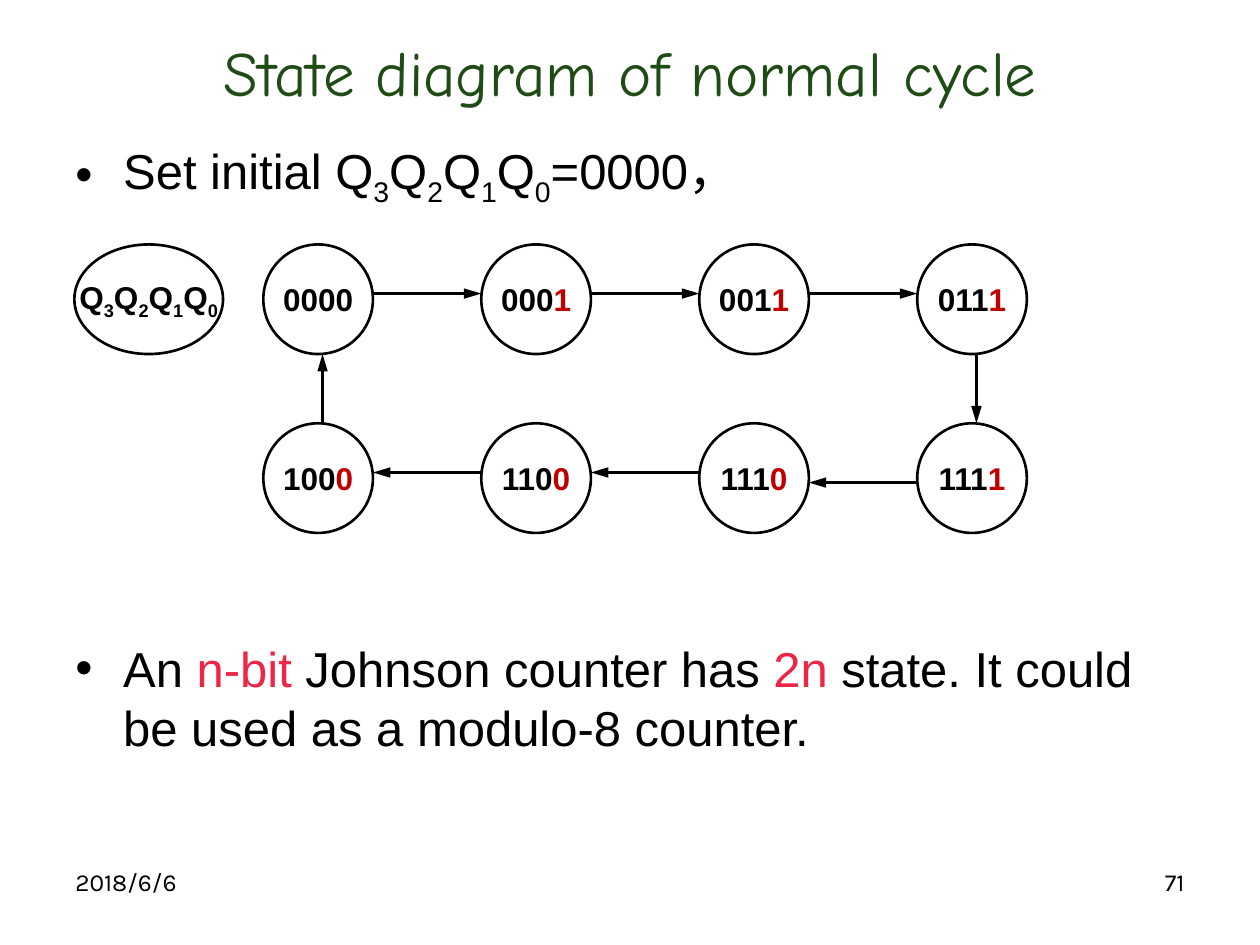
from lxml import etree
from pptx import Presentation
from pptx.dml.color import RGBColor
from pptx.enum.shapes import MSO_CONNECTOR, MSO_SHAPE
from pptx.enum.text import MSO_ANCHOR, PP_ALIGN
from pptx.oxml.ns import qn
from pptx.util import Inches, Pt

STRAIGHT = MSO_CONNECTOR.STRAIGHT
ELLIPSE = MSO_SHAPE.OVAL
MIDDLE, TOP = MSO_ANCHOR.MIDDLE, MSO_ANCHOR.TOP
LEFT, CENTER, RIGHT = PP_ALIGN.LEFT, PP_ALIGN.CENTER, PP_ALIGN.RIGHT

COLORS = {"black": "000000", "title": "1F4B15", "bit": "C00000", "accent": "EF2547"}

STATE_ROWS = [["0000", "0001", "0011", "0111"],
              ["1000", "1100", "1110", "1111"]]
ROW_TOPS = [1.94, 3.36]
FIRST_LEFT, PITCH, DIAMETER = 2.09, 1.73, 0.87
# Arrow offsets from the top or left edge of a state circle
ARROW_OFFSET, LOW_OFFSET, VERTICAL_OFFSET = 0.39, 0.47, 0.47


def rgb(name):
    return RGBColor.from_string(COLORS[name])


def add_runs(p, parts, size, font="Arial", bold=False):
    """Add (text, colour name, is subscript) parts to a paragraph."""
    for text, color, subscript in parts:
        r = p.add_run()
        r.text = text
        r.font.size = Pt(size)
        r.font.name = font
        r.font.bold = bold
        r.font.color.rgb = rgb(color)
        if subscript:
            r.font._element.set("baseline", "-25000")


def register_parts():
    """Q3Q2Q1Q0 with the digits as subscripts."""
    return [(ch, "black", ch.isdigit()) for ch in "Q3Q2Q1Q0"]


def add_text_box(slide, box, anchor=TOP):
    tf = slide.shapes.add_textbox(*map(Inches, box)).text_frame
    tf.word_wrap = True
    tf.vertical_anchor = anchor
    return tf


def add_label(slide, box, text, size, font, color="black", align=LEFT, anchor=TOP):
    p = add_text_box(slide, box, anchor).paragraphs[0]
    p.alignment = align
    add_runs(p, [(text, color, False)], size, font)


def set_bullet(p):
    pPr = p._p.get_or_add_pPr()
    pPr.set("marL", str(Inches(0.38)))
    pPr.set("indent", str(-Inches(0.38)))
    font = etree.SubElement(pPr, qn("a:buFont"))
    font.set("typeface", "Arial")
    etree.SubElement(pPr, qn("a:buChar")).set("char", "•")


def add_body(slide):
    tf = add_text_box(slide, (0.5, 1.07, 9, 5.63))
    first, second = tf.paragraphs[0], tf.add_paragraph()
    for p in (first, second):
        set_bullet(p)
    second.space_before = Pt(246)
    add_runs(first, [("Set initial ", "black", False), *register_parts(),
                     ("=0000，", "black", False)], 28)
    add_runs(second, [("An ", "black", False), ("n-bit", "accent", False),
                      (" Johnson counter has ", "black", False),
                      ("2n", "accent", False),
                      (" state. It could be used as a modulo-8 counter.", "black", False)], 28)


def add_ellipse(slide, left, top, width, parts):
    sp = slide.shapes.add_shape(ELLIPSE, Inches(left), Inches(top),
                                Inches(width), Inches(DIAMETER))
    sp.shadow.inherit = False
    sp.fill.background()
    sp.line.color.rgb = rgb("black")
    sp.line.width = Pt(1.5)
    tf = sp.text_frame
    tf.word_wrap = False
    tf.vertical_anchor = MIDDLE
    p = tf.paragraphs[0]
    p.alignment = CENTER
    add_runs(p, parts, 18, bold=True)


def add_arrow(slide, x1, y1, x2, y2):
    line = slide.shapes.add_connector(STRAIGHT, *map(Inches, (x1, y1, x2, y2)))
    line.line.color.rgb = rgb("black")
    line.line.width = Pt(1.5)
    tail = etree.SubElement(line.line._get_or_add_ln(), qn("a:tailEnd"))
    for key, value in (("type", "triangle"), ("w", "med"), ("len", "lg")):
        tail.set(key, value)
    etree.SubElement(line._element.spPr, qn("a:effectLst"))


def add_states(slide):
    for top, states in zip(ROW_TOPS, STATE_ROWS):
        for col, state in enumerate(states):
            last_color = "black" if state == "0000" else "bit"
            add_ellipse(slide, FIRST_LEFT + col * PITCH, top, DIAMETER,
                        [(state[:-1], "black", False), (state[-1], last_color, False)])


def add_transitions(slide):
    """Arrows run right along the top row and left along the bottom row."""
    upper, lower = ROW_TOPS
    gaps = len(STATE_ROWS[0]) - 1
    for col in range(gaps):
        start = FIRST_LEFT + col * PITCH + DIAMETER
        end = FIRST_LEFT + (col + 1) * PITCH
        offset = LOW_OFFSET if col == gaps - 1 else ARROW_OFFSET
        add_arrow(slide, start, upper + ARROW_OFFSET, end, upper + ARROW_OFFSET)
        add_arrow(slide, end, lower + offset, start, lower + offset)
    left_x = FIRST_LEFT + VERTICAL_OFFSET
    right_x = left_x + gaps * PITCH
    add_arrow(slide, right_x, upper + DIAMETER, right_x, lower)
    add_arrow(slide, left_x, lower, left_x, upper + DIAMETER)


def main():
    prs = Presentation()
    prs.slide_width, prs.slide_height = Inches(10), Inches(7.5)
    slide = prs.slides.add_slide(prs.slide_layouts[6])
    add_label(slide, (0.5, 6.83, 2.33, 0.52), "2018/6/6", 14, "Karla")
    add_label(slide, (7.17, 6.83, 2.33, 0.52), "71", 14, "Karla", align=RIGHT)
    add_label(slide, (0.5, 0.21, 9, 0.71), "State diagram of normal cycle", 36,
              "Comic Neue", "title", CENTER, MIDDLE)
    add_body(slide)
    add_ellipse(slide, 0.59, ROW_TOPS[0], 1.18, register_parts())
    add_states(slide)
    add_transitions(slide)
    prs.save("out.pptx")


if __name__ == "__main__":
    main()
